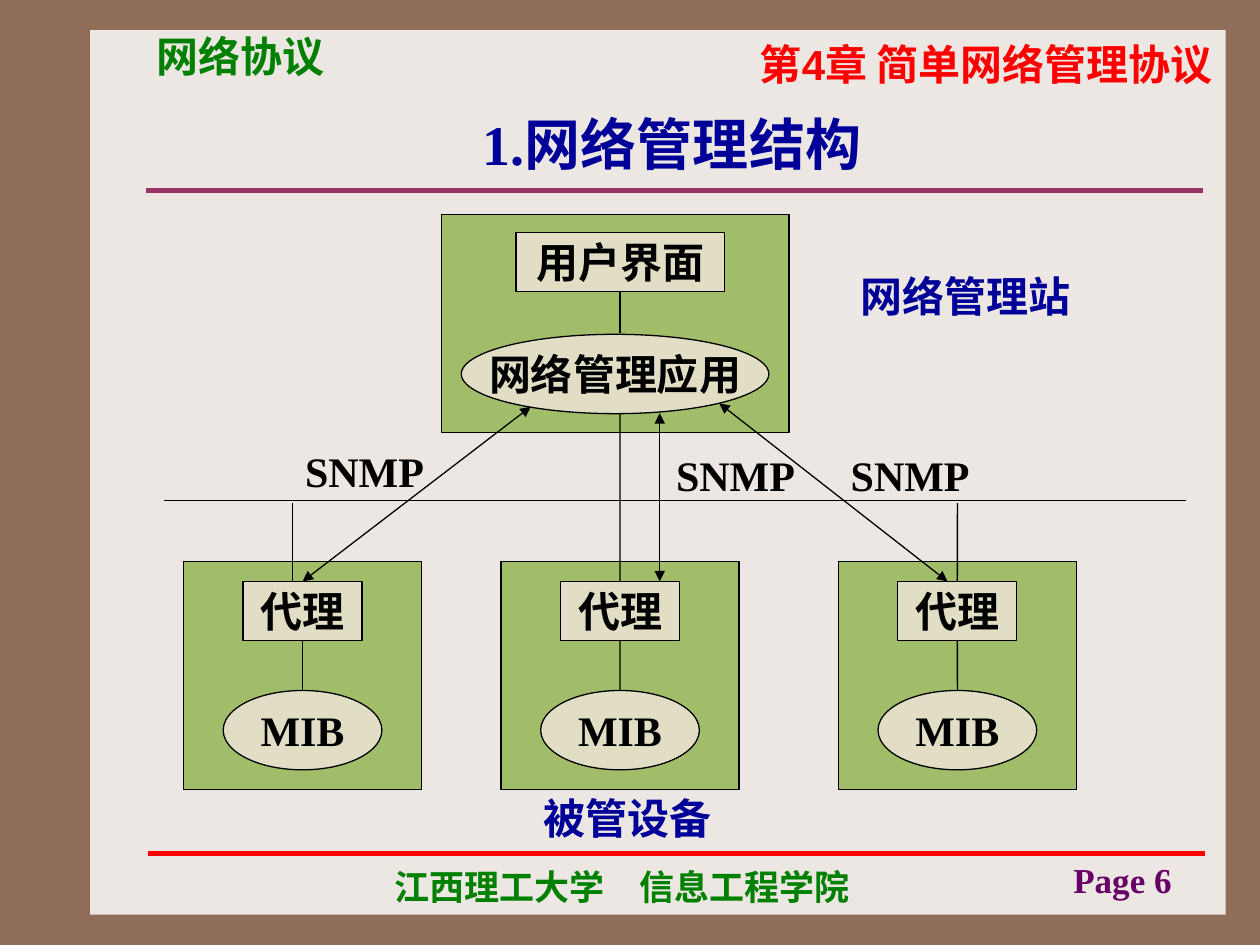
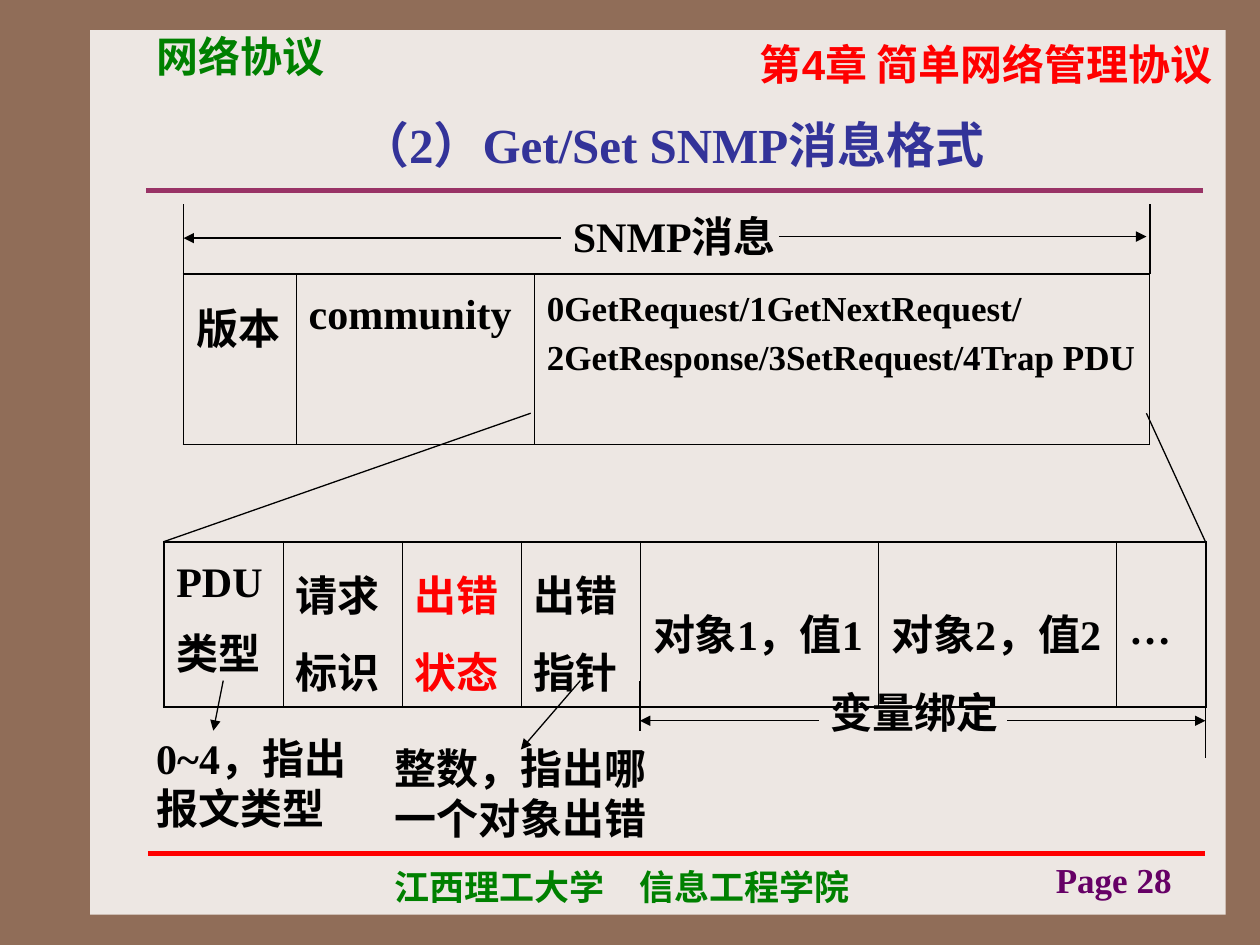
from lxml import etree
from pptx import Presentation
from pptx.dml.color import RGBColor
from pptx.enum.shapes import MSO_CONNECTOR, MSO_SHAPE
from pptx.enum.text import MSO_ANCHOR, PP_ALIGN
from pptx.oxml.ns import qn
from pptx.util import Cm, Pt

RECT, OVAL = MSO_SHAPE.RECTANGLE, MSO_SHAPE.OVAL
STRAIGHT = MSO_CONNECTOR.STRAIGHT
LEFT, CENTER, RIGHT = PP_ALIGN.LEFT, PP_ALIGN.CENTER, PP_ALIGN.RIGHT
TOP, MIDDLE = MSO_ANCHOR.TOP, MSO_ANCHOR.MIDDLE
TOP_SITE, BOTTOM_SITE = 0, 2

SERIF, SANS, CJK = "Times New Roman", "Arial", "Noto Sans CJK SC"
COLORS = {
    "frame": "906D58", "panel": "EDE7E3", "rule": "993366", "red": "FF0000",
    "green": "008000", "page": "660066", "navy": "000099", "indigo": "333399",
    "black": "000000", "device": "A1BD69", "part": "E1DEC5",
}
OUTER_BORDER, INNER_BORDER = 1.08, 0.45


def rgb(name):
    return RGBColor.from_string(COLORS[name])


# Shared helpers
def write(frame, lines, size=24, color="black", font=SERIF, align=LEFT, spacing=None):
    for i, line in enumerate(lines.split("\n")):
        paragraph = frame.paragraphs[0] if i == 0 else frame.add_paragraph()
        paragraph.alignment = align
        if spacing:
            paragraph.line_spacing = spacing
        run = paragraph.add_run()
        run.text = line
        run.font.size, run.font.bold, run.font.name = Pt(size), True, font
        run.font.color.rgb = rgb(color)
        etree.SubElement(run.font._element, qn("a:ea"), typeface=CJK)


def add_label(slide, text, x, y, w, h=1.27, **style):
    frame = slide.shapes.add_textbox(Cm(x), Cm(y), Cm(w), Cm(h)).text_frame
    frame.word_wrap = True
    write(frame, text, **style)


def add_block(shapes, kind, x, y, w, h, fill, text="", outlined=True):
    block = shapes.add_shape(kind, Cm(x), Cm(y), Cm(w), Cm(h))
    block.shadow.inherit = False
    block.fill.solid()
    block.fill.fore_color.rgb = rgb(fill)
    if outlined:
        block.line.color.rgb = rgb("black")
        block.line.width = Pt(0.75)
    else:
        block.line.fill.background()
    if text:
        block.text_frame.word_wrap = False
        block.text_frame.vertical_anchor = MIDDLE
        write(block.text_frame, text, align=CENTER)
    return block


def add_line(shapes, start, end, color="black", width=0.75, arrows=()):
    line = shapes.add_connector(STRAIGHT, *(Cm(v) for v in (*start, *end)))
    line.line.color.rgb = rgb(color)
    line.line.width = Pt(width)
    for arrow in arrows:
        etree.SubElement(line.line._get_or_add_ln(), qn(f"a:{arrow}"), type="triangle")
    etree.SubElement(line._element.spPr, qn("a:effectLst"))
    return line


# Header, footer and title of every slide
def add_page(prs, title, page, size, color):
    slide = prs.slides.add_slide(prs.slide_layouts[5])
    add_block(slide.shapes, RECT, 1.82, 0.61, 22.89, 17.83, "panel", outlined=False)
    add_line(slide.shapes, (2.95, 3.84), (24.26, 3.84), "rule", 3)
    add_line(slide.shapes, (2.98, 17.2), (24.29, 17.2), "red", 3)
    add_label(slide, "第4章 简单网络管理协议", 11.29, 0.65, 13.41,
              color="red", font=SANS, align=RIGHT)
    add_label(slide, "网络协议", 2.9, 0.49, 6.6, color="green", font=SANS)
    add_label(slide, "江西理工大学　信息工程学院", 7.7, 17.32, 11.2, 1.12,
              size=20, color="green", font=CJK)
    add_label(slide, f"Page {page}", 20.26, 17.18, 3.61, 0.89,
              size=20, color="page", align=RIGHT)

    # The title stands in front of the panel
    heading = slide.shapes.title
    slide.shapes._spTree.append(heading._element)
    heading.left, heading.top = Cm(2.97), Cm(1.93)
    heading.width, heading.height = Cm(21.16), Cm(1.93)
    heading.text_frame.vertical_anchor = MIDDLE
    write(heading.text_frame, title, size=size, color=color, align=CENTER)
    return slide


# Management station with its interface and application
def add_station(slide, x, y):
    add_block(slide.shapes, RECT, x, y, 7.01, 4.39, "device")
    interface = add_block(slide.shapes, RECT, x + 1.5, y + 0.36, 4.2, 1.19,
                          "part", "用户界面")
    add_block(slide.shapes, OVAL, x + 0.4, y + 2.41, 6.2, 1.6, "part", "网络管理应用")
    link = add_line(slide.shapes, (x + 3.6, y + 1.55), (x + 3.6, y + 2.38))
    link.begin_connect(interface, BOTTOM_SITE)


# Managed device: an agent above its MIB
def add_device(slide, x, y):
    shapes = slide.shapes.add_group_shape().shapes
    add_block(shapes, RECT, x, y, 4.8, 4.6, "device")
    agent = add_block(shapes, RECT, x + 1.2, y + 0.4, 2.4, 1.2, "part", "代理")
    mib = add_block(shapes, OVAL, x + 0.8, y + 2.6, 3.2, 1.6, "part", "MIB")
    link = add_line(shapes, (x + 2.4, y + 1.6), (x + 2.4, y + 2.6))
    link.begin_connect(agent, BOTTOM_SITE)
    link.end_connect(mib, TOP_SITE)
    return agent


def build_structure(prs):
    slide = add_page(prs, "1.网络管理结构", 6, 32, "navy")
    shapes = slide.shapes
    device_y, bus_y = 11.32, 10.09
    agent_y = device_y + 0.4
    add_station(slide, 8.9, 4.33)
    agents = [add_device(slide, x, device_y) for x in (3.7, 10.1, 16.9)]

    # Network bus and its drops
    add_line(shapes, (3.3, bus_y), (23.9, bus_y))
    add_line(shapes, (5.9, bus_y + 0.05), (5.9, agent_y))
    for x, y, agent in ((12.5, 8.33, agents[1]), (19.3, bus_y + 0.05, agents[2])):
        add_line(shapes, (x, y), (x, agent_y)).end_connect(agent, TOP_SITE)

    # SNMP exchanges between application and agents
    exchanges = [add_line(shapes, start, (end_x, agent_y), arrows=("headEnd", "tailEnd"))
                 for start, end_x in (((10.7, 8.2), 6.1), ((13.3, 8.33), 13.3),
                                      ((14.5, 8.13), 19.1))]
    exchanges[0].end_connect(agents[0], TOP_SITE)
    for x, y in ((5.9, 8.86), (13.38, 8.93), (16.9, 8.93)):
        add_label(slide, "SNMP", x, y, 3.6)

    add_label(slide, "被管设备", 10.7, 15.86, 4.4, color="navy")
    add_label(slide, "网络管理站", 17.1, 5.33, 5.8, color="navy")


# One-row table of message fields: (text, width, style, anchor)
def add_fields(slide, x, y, height, fields):
    total = sum(field[1] for field in fields)
    table = slide.shapes.add_table(1, len(fields), Cm(x), Cm(y), Cm(total), Cm(height)).table
    table.first_row = table.horz_banding = False
    table.rows[0].height = Cm(height)
    last = len(fields) - 1
    for i, (text, width, style, anchor) in enumerate(fields):
        table.columns[i].width = Cm(width)
        cell = table.cell(0, i)
        cell.vertical_anchor = anchor
        write(cell.text_frame, text, spacing=1.25, **style)
        borders = {"lnL": INNER_BORDER if i else OUTER_BORDER,
                   "lnR": INNER_BORDER if i < last else OUTER_BORDER,
                   "lnT": OUTER_BORDER, "lnB": OUTER_BORDER}
        for side, points in borders.items():
            border = etree.SubElement(cell._tc.get_or_add_tcPr(), qn(f"a:{side}"),
                                      w=str(Pt(points)))
            fill = etree.SubElement(border, qn("a:solidFill"))
            etree.SubElement(fill, qn("a:srgbClr"), val=COLORS["black"])
        cell.fill.background()


# Labelled dimension: two ticks, and arrows from the label out to them
def add_span(slide, text, ticks, top, tick_ends, label, arrows):
    for x, bottom in zip(ticks, tick_ends):
        add_line(slide.shapes, (x, top), (x, bottom))
    for start_x, end_x, y in arrows:
        add_line(slide.shapes, (start_x, y), (end_x, y), arrows=("tailEnd",))
    add_label(slide, text, label[0], top, label[1])


def build_message(prs):
    slide = add_page(prs, "（2）Get/Set SNMP消息格式", 28, 28, "indigo")
    shapes = slide.shapes
    message_x, message_y, pdu_x, pdu_y, pdu_right = 3.7, 5.53, 3.3, 10.92, 24.3
    add_fields(slide, message_x, message_y, 3.43, [
        ("版本", 2.27, {}, TOP),
        ("community", 4.8, {}, TOP),
        ("0GetRequest/1GetNextRequest/\n2GetResponse/3SetRequest/4Trap PDU",
         12.4, {"size": 20}, TOP),
    ])
    add_fields(slide, pdu_x, pdu_y, 3.33, [
        ("PDU\n类型", 2.41, {}, TOP),
        ("请求\n标识", 2.4, {}, TOP),
        ("出错\n状态", 2.4, {"color": "red"}, TOP),
        ("出错\n指针", 2.4, {}, TOP),
        ("对象1，值1", 4.8, {}, MIDDLE),
        ("对象2，值2", 4.8, {}, MIDDLE),
        ("…", 1.8, {}, MIDDLE),
    ])

    # Expansion of the PDU field
    add_line(shapes, (10.7, 8.33), (pdu_x, pdu_y))
    add_line(shapes, (23.11, 8.33), (pdu_right, pdu_y))

    add_span(slide, "SNMP消息", (message_x, 23.18), 4.12, (message_y, message_y),
             (11.3, 6), ((11.3, message_x, 4.8), (15.7, 23.11, 4.77)))
    add_span(slide, "变量绑定", (12.9, pdu_right), 13.72, (14.73, 15.29),
             (16.5, 4.6), ((16.5, 12.9, 14.53), (20.3, pdu_right, 14.53)))

    # Notes on the PDU type and the error index
    add_label(slide, "0~4，指出报文类型", 2.9, 14.64, 4.8, 2.29)
    add_label(slide, "整数，指出哪一个对象出错", 7.7, 14.84, 5.8, 2.29)
    for start, end in (((4.5, 13.72), (4.3, 14.73)), ((11.7, 13.72), (10.5, 15.11))):
        add_line(shapes, start, end, arrows=("tailEnd",))


def main():
    prs = Presentation()
    prs.slide_width, prs.slide_height = Cm(25.4), Cm(19.05)
    backdrop = prs.slide_master.background.fill
    backdrop.solid()
    backdrop.fore_color.rgb = rgb("frame")
    build_structure(prs)
    build_message(prs)
    prs.save("out.pptx")


if __name__ == "__main__":
    main()
